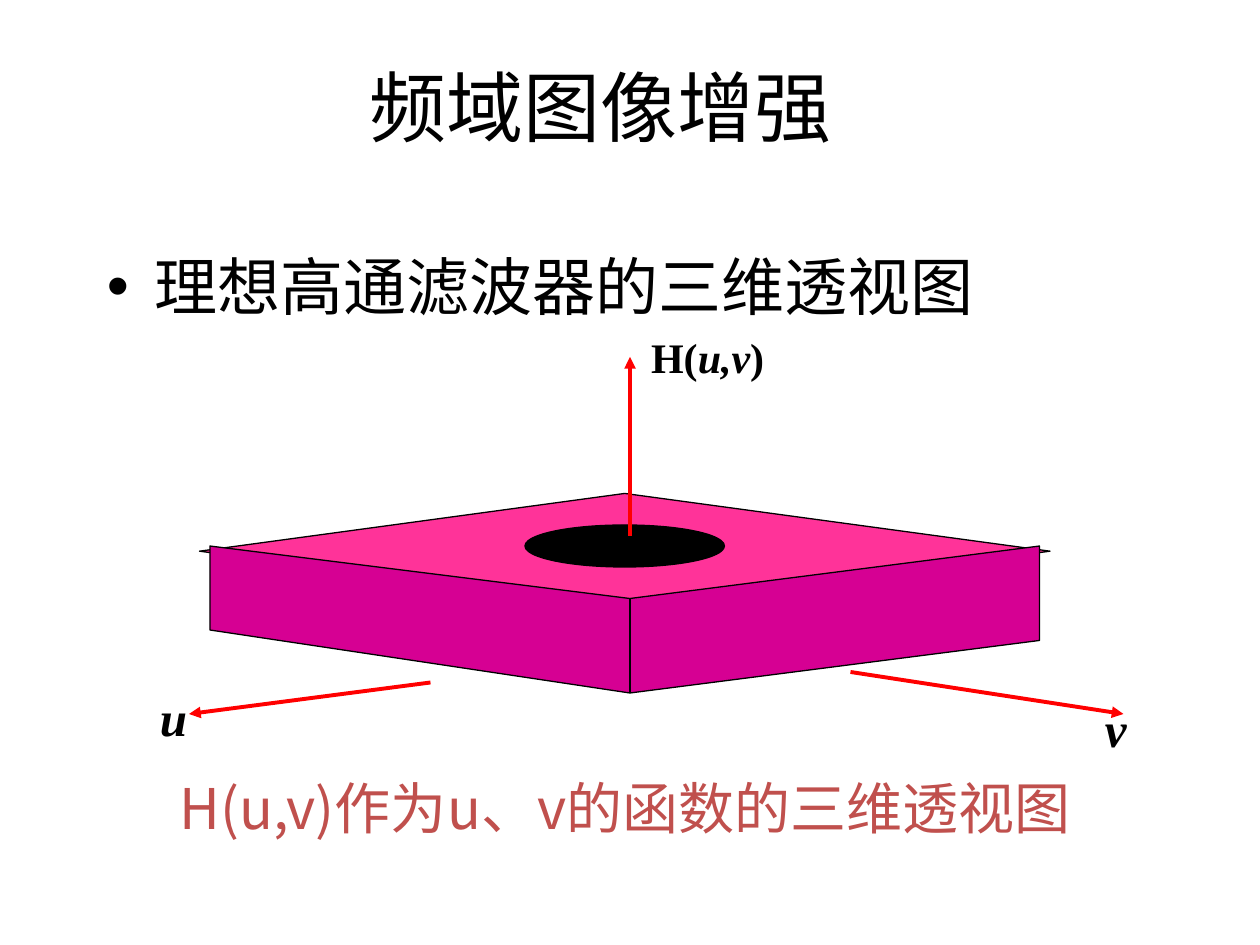
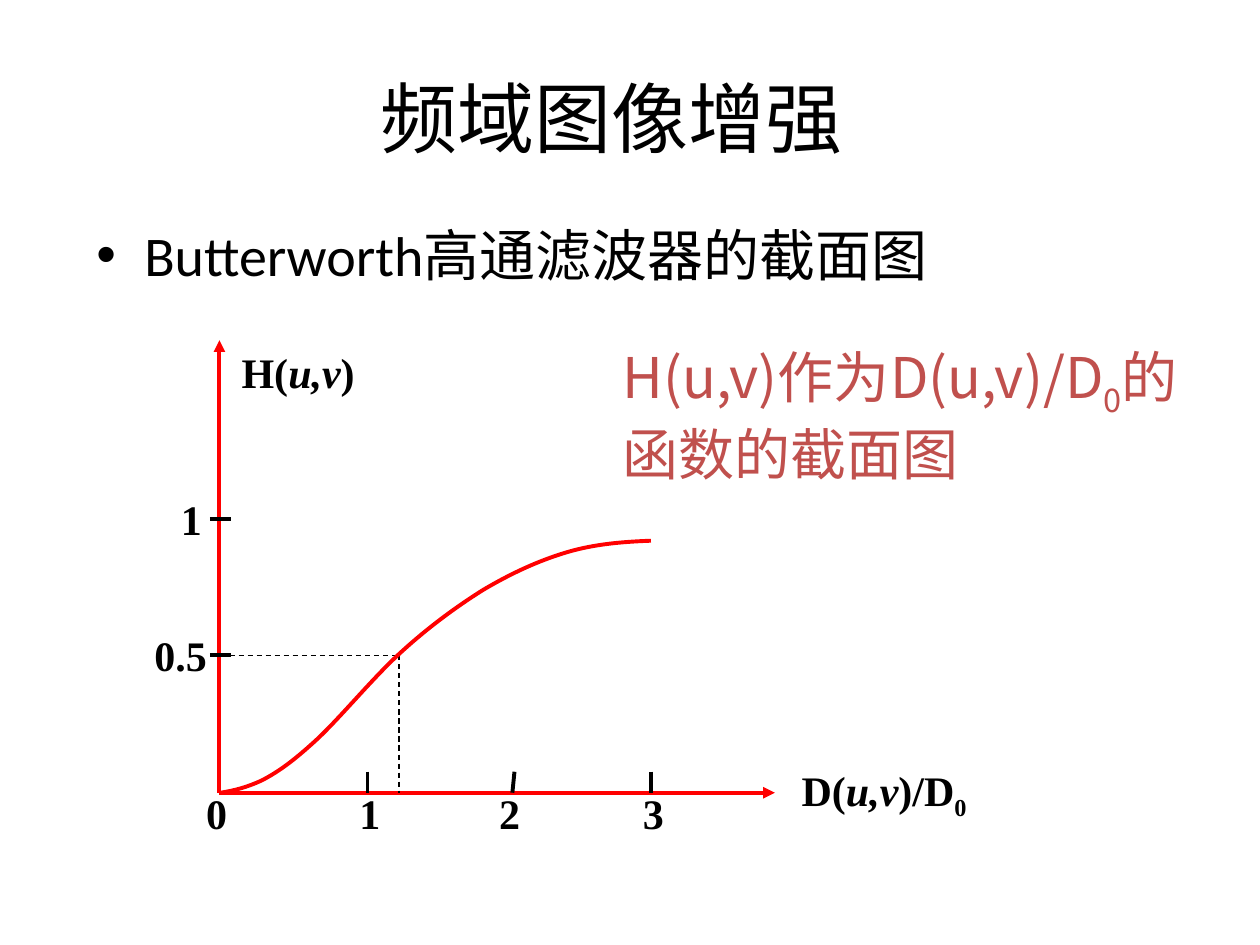
import pptx
import pptx.util
import pptx.dml.color
import pptx.enum.dml
import pptx.enum.shapes
import pptx.enum.text
import pptx.oxml
import pptx.oxml.ns

CELL = pptx.util.Inches(1) // 12
BLACK, RED, BRICK = "000000", "FF0000", "C0504D"
PINK, MAGENTA = "FF3399", "D60093"
SANS, SERIF, CHINESE = "Calibri", "Times New Roman", "Noto Sans CJK SC"
ALIGN = pptx.enum.text.PP_ALIGN
ANCHOR = pptx.enum.text.MSO_ANCHOR
SHAPE = pptx.enum.shapes.MSO_SHAPE
H_OF_UV = [("H(", ""), ("u,v", "italic"), (")", "")]


def color(value):
    return pptx.dml.color.RGBColor.from_string(value)


def cells(*counts):
    return [round(count * CELL) for count in counts]


def add_element(parent, tag, **attributes):
    element = pptx.oxml.parse_xml(f"<{tag} {pptx.oxml.ns.nsdecls('a')}/>")
    for name, value in attributes.items():
        element.set(name, value)
    parent.append(element)
    return element


class Board:
    def __init__(self, deck):
        self.deck = deck
        self.page = None

    def new_page(self, left, top):
        self.page = self.deck.slides.add_slide(self.deck.slide_layouts[6])
        self.text(left, top, 108, 13.5, [("频域图像增强", "")], 44)

    def text(self, left, top, width, height, spans, size, font=SANS, ink=BLACK,
             bold=False, wrap=True, align=ALIGN.CENTER, anchor=ANCHOR.MIDDLE):
        box = self.page.shapes.add_textbox(*cells(left, top, width, height))
        frame = box.text_frame
        frame.word_wrap = wrap
        frame.vertical_anchor = anchor
        para = frame.paragraphs[0]
        para.alignment = align
        for words, style in spans:
            span = para.add_run()
            span.text = words
            span.font.size = pptx.util.Pt(size)
            span.font.name = font
            span.font.bold = bold
            span.font.italic = style == "italic"
            span.font.color.rgb = color(ink)
            properties = span.font._element
            add_element(properties, "a:ea", typeface=CHINESE)
            if style == "sub":
                properties.set("baseline", "-25000")
        return para

    def bullet(self, left, top, width, words, size):
        para = self.text(left, top, width, 12, [(words, "")], size,
                         align=ALIGN.LEFT, anchor=ANCHOR.TOP)
        properties = para._p.get_or_add_pPr()
        indent = pptx.util.Inches(0.38)
        properties.set("marL", str(indent))
        properties.set("indent", str(-indent))
        add_element(properties, "a:buFont", typeface="Arial")
        add_element(properties, "a:buChar", char="•")

    def label(self, x, y, spans, size=24, width=4.3, height=6):
        self.text(x - width / 2, y - height / 2, width, height, spans, size,
                  SERIF, bold=True, wrap=False)

    def line(self, start, end, ink=BLACK, weight=2.25, arrow=False, dashed=False):
        connector = self.page.shapes.add_connector(
            pptx.enum.shapes.MSO_CONNECTOR.STRAIGHT, *cells(*start, *end))
        connector.line.color.rgb = color(ink)
        connector.line.width = pptx.util.Pt(weight)
        if dashed:
            connector.line.dash_style = pptx.enum.dml.MSO_LINE.DASH
        if arrow:
            add_element(connector.line._get_or_add_ln(), "a:tailEnd", type="triangle")
        add_element(connector._element.spPr, "a:effectLst")

    def arrow(self, start, end):
        self.line(start, end, RED, arrow=True)

    def paint(self, shape, fill, ink=BLACK, weight=0.75):
        shape.shadow.inherit = False
        if fill:
            shape.fill.solid()
            shape.fill.fore_color.rgb = color(fill)
        else:
            shape.fill.background()
        shape.line.color.rgb = color(ink)
        shape.line.width = pptx.util.Pt(weight)

    def shape(self, kind, left, top, width, height, fill):
        self.paint(self.page.shapes.add_shape(kind, *cells(left, top, width, height)), fill)

    def outline(self, points, close):
        builder = self.page.shapes.build_freeform(*cells(*points[0]))
        builder.add_line_segments([cells(*point) for point in points[1:]], close=close)
        return builder.convert_to_shape()

    def polygon(self, points, fill):
        self.paint(self.outline(points, True), fill)

    def curve(self, points, ink):
        shape = self.outline(points, False)
        segments = list(shape._element.iter(pptx.oxml.ns.qn("a:lnTo")))
        for first in range(0, len(segments), 3):
            trio = segments[first:first + 3]
            bezier = add_element(trio[0].getparent(), "a:cubicBezTo")
            for segment in trio:
                bezier.append(segment[0])
                segment.getparent().remove(segment)
        self.paint(shape, None, ink, 2.25)


def perspective_page(board):
    board.new_page(3.25, 3.35)
    board.bullet(9, 23, 106, "理想高通滤波器的三维透视图", 36)
    board.arrow((81, 64), (107, 68))
    board.arrow((41, 65), (18, 68))
    board.label(106.25, 69.3, [("v", "italic")], 28, 4.5, 6.8)
    board.label(16.5, 68.3, [("u", "italic")], 28, 4.9, 6.8)
    board.label(67.4, 34, H_OF_UV, width=13.2)
    board.text(10.3, 73, 98.5, 7.7, [("H(u,v)作为u、v的函数的三维透视图", "")],
               32, CHINESE, BRICK, wrap=False)
    board.shape(SHAPE.DIAMOND, 19, 47, 81, 11, PINK)
    board.polygon([(20, 52), (20, 60), (60, 66), (99, 61), (99, 52), (60, 57)], MAGENTA)
    board.shape(SHAPE.OVAL, 50, 50, 19, 4, BLACK)
    board.arrow((60, 51), (60, 34))
    board.line((60, 57), (60, 66), weight=0.75)


def section_page(board):
    board.new_page(4.25, 4.35)
    board.bullet(8, 20.4, 110, "Butterworth高通滤波器的截面图", 32)
    axis_x, base, half, full, cutoff = 20.9, 75.5, 62.4, 49.4, 38
    board.arrow((axis_x, base), (73.8, base))
    board.arrow((axis_x, base), (axis_x, 32.4))
    board.label(20.6, 77.4, [("0", "")])
    for number, top_x, foot_x, label_x in (
            ("1", 35, 35, 35.2), ("2", 49, 48.8, 48.5), ("3", 62, 62, 62.2)):
        board.line((top_x, base - 2), (foot_x, base))
        board.label(label_x, 77.4, [(number, "")])
    for number, y, label_x, width in (("1", full, 18.2, 4.3), ("0.5", half, 17.2, 8)):
        board.line((20, y), (22, y))
        board.label(label_x, y, [(number, "")], width=width)
    board.label(84.2, base, [("D(", ""), ("u,v", "italic"), (")/D", ""), ("0", "sub")],
                width=18.1, height=6.7)
    board.label(28.4, 35.4, H_OF_UV, width=13.2)
    board.text(58.1, 28.8, 56, 21.4,
               [("H(u,v)作为D(u,v)/D", ""), ("0", "sub"), ("的函数的截面图", "")],
               32, CHINESE, BRICK, align=ALIGN.LEFT)
    board.line((21, half), (cutoff, half), weight=0.75, dashed=True)
    board.line((cutoff, half), (cutoff, base), weight=0.75, dashed=True)
    board.curve([(21, base), (22.3, 75.3), (23.5, 75), (25, 74.3),
                 (26.5, 73.5), (27.8, 72.6), (30, 70.6),
                 (32.2, 68.6), (35.4, 64.7), (cutoff, 62.3),
                 (40.6, 59.9), (43.3, 57.9), (46, 56.2),
                 (48.7, 54.6), (51.3, 53.4), (54, 52.6),
                 (56.7, 51.8), (59.4, 51.6), (62, 51.5)], RED)


def main():
    deck = pptx.Presentation()
    deck.slide_width, deck.slide_height = cells(120, 90)
    board = Board(deck)
    perspective_page(board)
    section_page(board)
    deck.save("out.pptx")


if __name__ == "__main__":
    main()
